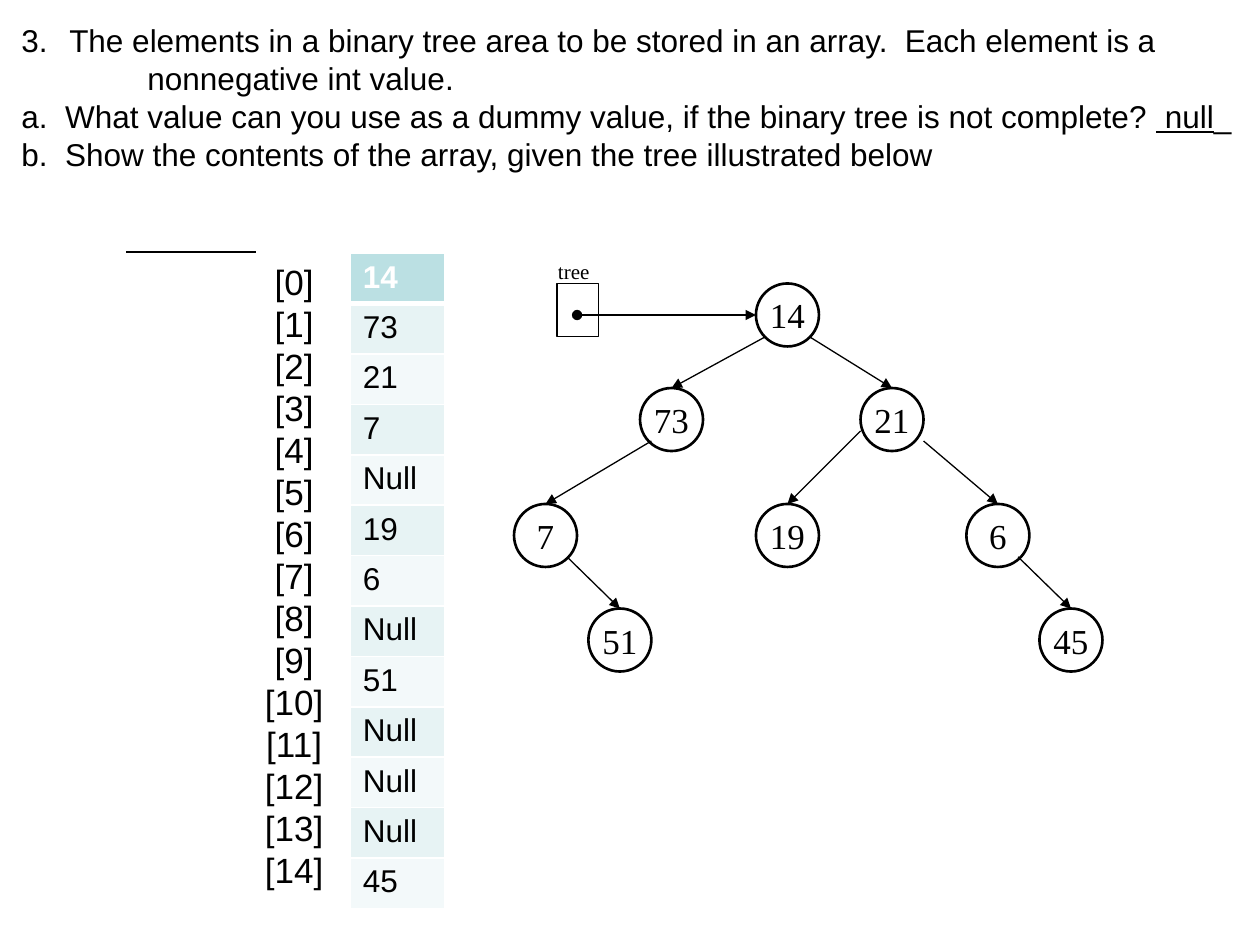
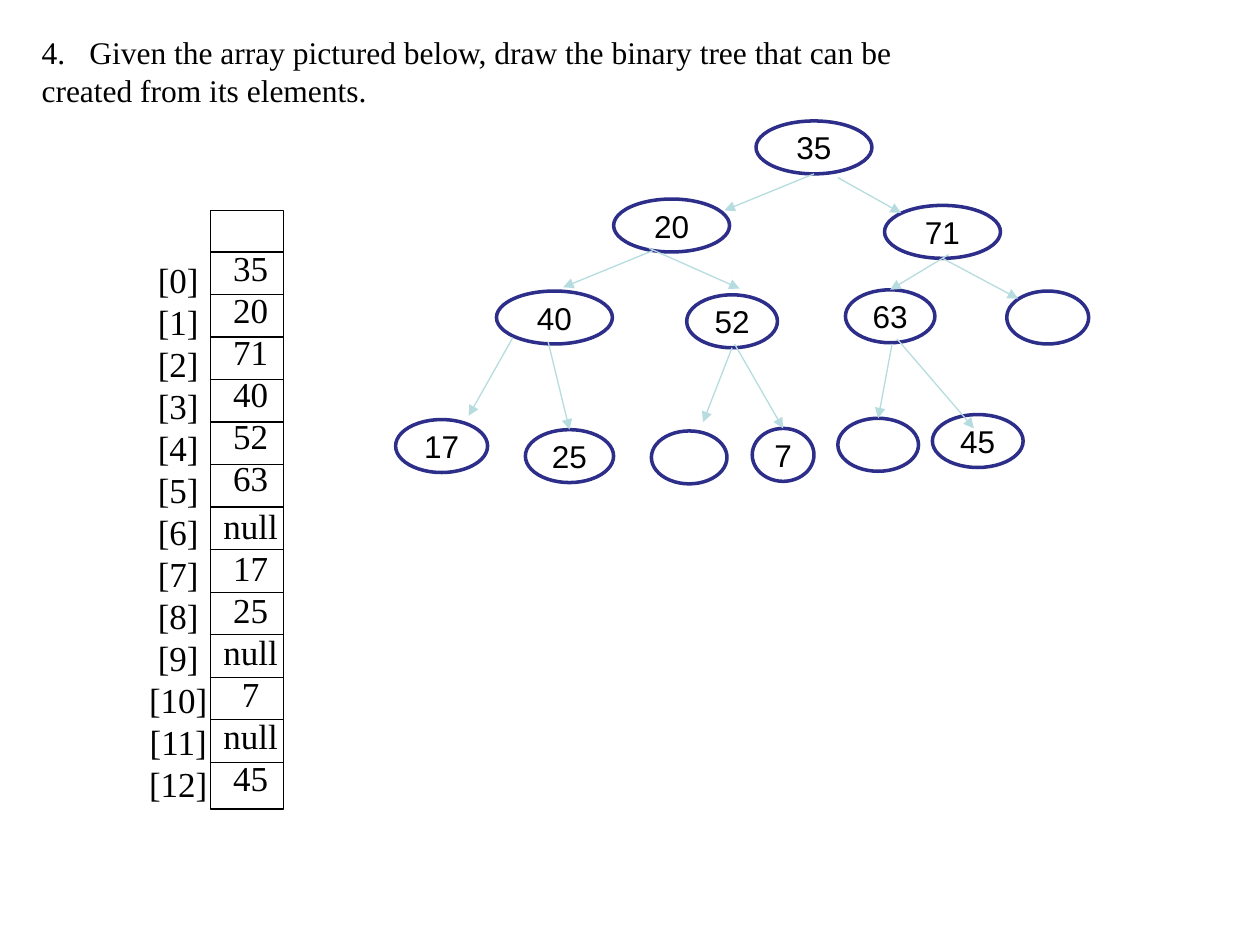
from dataclasses import dataclass
from typing import Any, Optional, Sequence, Union

import pptx
import pptx.dml.color
import pptx.enum.shapes
import pptx.enum.text
import pptx.oxml
import pptx.oxml.ns
import pptx.util
from lxml import etree

Inches = pptx.util.Inches
Pt = pptx.util.Pt
Align = pptx.enum.text.PP_ALIGN
Anchor = pptx.enum.text.MSO_ANCHOR
Preset = pptx.enum.shapes.MSO_SHAPE


@dataclass(frozen=True)
class Theme:
    ink: str = "000000"
    paper: str = "FFFFFF"
    node_outline: str = "2D2D8A"
    pale_arrow: str = "B6DCDF"
    header_fill: str = "BBE0E3"
    odd_fill: str = "E7F3F4"
    even_fill: str = "F3F9FA"
    sans: str = "Arial"
    serif: str = "Times New Roman"
    label_size: float = 12
    text_size: float = 18
    array_size: float = 20
    thin: float = 0.75


THEME = Theme()


@dataclass(frozen=True)
class Span:
    text: str
    underline: bool = False


@dataclass(frozen=True)
class Para:
    spans: Sequence[Span]
    margin: float = 0
    indent: float = 0
    number: Optional[int] = None
    space_before: float = 0


@dataclass(frozen=True)
class Node:
    text: str
    left: float
    top: float
    width: float
    height: float


@dataclass(frozen=True)
class Edge:
    x1: float
    y1: float
    x2: float
    y2: float


@dataclass(frozen=True)
class TreeStyle:
    font: str
    size: float
    outline: str
    outline_width: float
    arrow: str
    fill: Optional[str] = None


BLACK_TREE = TreeStyle(THEME.serif, THEME.array_size, THEME.ink, 1.5, THEME.ink)
BLUE_TREE = TreeStyle(THEME.sans, THEME.text_size, THEME.node_outline, 2,
                      THEME.pale_arrow, THEME.paper)

QUESTION_3 = [
    Para([Span("The elements in a binary tree area to be stored in an array.  Each element is a")],
         0.38, -0.38, number=3),
    Para([Span("nonnegative int value.")], 1.38, -0.38),
    Para([Span("a.  What value can you use as a dummy value, if the binary tree is not complete? "),
          Span(" null", underline=True), Span("_")], 0.38, -0.38),
    Para([Span("b.  Show the contents of the array, given the tree illustrated below")], 0.38, -0.38),
]
QUESTION_4 = [
    Para([Span("Given the array pictured below, draw the binary tree that can be")],
         0.38, -0.38, number=4),
    Para([Span("created from its elements.")]),
]

ARRAY_3 = ["14", "73", "21", "7", "Null", "19", "6", "Null", "51", "Null", "Null", "Null", "45"]
ARRAY_4 = ["35", "20", "71", "40", "52", "63", "null", "17", "25", "null", "7", "null", "45"]

NODES_3 = [Node(text, left, top, 0.5, 0.5) for text, left, top in (
    ("14", 6, 2.25), ("73", 5.08, 3.08), ("21", 6.83, 3.08), ("7", 4.08, 4),
    ("51", 4.67, 4.83), ("19", 6, 4), ("6", 7.67, 4), ("45", 8.25, 4.83))]
EDGES_3 = [
    Edge(6.08, 2.67, 5.33, 3.08), Edge(6.42, 2.67, 7.08, 3.08),
    Edge(5.17, 3.5, 4.33, 4), Edge(6.83, 3.42, 6.25, 4),
    Edge(4.5, 4.42, 4.92, 4.83), Edge(7.33, 3.5, 7.92, 4),
    Edge(8.08, 4.42, 8.5, 4.83),
]
NODES_4 = [Node(text, left, top, width, 0.42) for text, left, top, width in (
    ("35", 6, 0.96, 0.92),
    ("20", 4.87, 1.58, 0.92), ("71", 7.02, 1.63, 0.92),
    ("40", 3.94, 2.31, 0.92), ("52", 5.45, 2.34, 0.72),
    ("63", 6.71, 2.3, 0.71), ("", 7.99, 2.31, 0.65),
    ("17", 3.14, 3.33, 0.73), ("25", 4.17, 3.41, 0.7),
    ("", 5.17, 3.42, 0.6), ("7", 5.97, 3.4, 0.49),
    ("", 6.65, 3.32, 0.64), ("45", 7.4, 3.29, 0.72))]
EDGES_4 = [
    Edge(6.46, 1.38, 5.75, 1.67), Edge(6.65, 1.41, 7.15, 1.69),
    Edge(5.18, 1.99, 4.47, 2.28), Edge(5.15, 1.97, 5.87, 2.29),
    Edge(7.53, 2.02, 7.07, 2.3), Edge(7.48, 2.05, 8.08, 2.37),
    Edge(4.07, 2.68, 3.72, 3.3), Edge(4.35, 2.71, 4.52, 3.41),
    Edge(5.81, 2.76, 5.58, 3.35), Edge(5.83, 2.73, 6.22, 3.4),
    Edge(7.08, 2.73, 6.97, 3.32), Edge(7.12, 2.69, 7.73, 3.4),
]


def rgb(color: str) -> pptx.dml.color.RGBColor:
    return pptx.dml.color.RGBColor.from_string(color)


def add_child(parent: Any, tag: str, **attributes: str) -> Any:
    return etree.SubElement(parent, pptx.oxml.ns.qn(tag), attributes)


def write_text(frame: Any, paras: Sequence[Union[str, Para]], *, font: str, size: float,
               color: str = THEME.ink, bold: bool = False, align: Any = Align.LEFT,
               anchor: Any = Anchor.TOP, wrap: bool = False) -> None:
    frame.auto_size = pptx.enum.text.MSO_AUTO_SIZE.NONE
    frame.word_wrap = wrap
    frame.vertical_anchor = anchor
    write_paras(frame, paras, font, size, color, bold, align)


def write_paras(frame: Any, paras: Sequence[Union[str, Para]], font: str, size: float,
                color: str, bold: bool, align: Any) -> None:
    for index, item in enumerate(paras):
        para = item if isinstance(item, Para) else Para([Span(item)])
        line = frame.paragraphs[0] if index == 0 else frame.add_paragraph()
        line.alignment = align
        if para.space_before:
            line.space_before = Pt(para.space_before)
        properties = line._p.get_or_add_pPr()
        properties.set("marL", str(Inches(para.margin)))
        properties.set("indent", str(Inches(para.indent)))
        if para.number:
            add_child(properties, "a:buFontTx")
            add_child(properties, "a:buAutoNum", type="arabicPeriod", startAt=str(para.number))
        for span in para.spans:
            run = line.add_run()
            run.text = span.text
            run.font.name = font
            run.font.size = Pt(size)
            run.font.bold = bold
            run.font.underline = span.underline
            run.font.color.rgb = rgb(color)


def add_page(deck: Any, question: Sequence[Para], font: str, left: float, top: float,
             width: float, height: float) -> Any:
    """Add a slide whose title holds the question."""
    page = deck.slides.add_slide(deck.slide_layouts[5])
    title = page.shapes.title
    title.left, title.top = Inches(left), Inches(top)
    title.width, title.height = Inches(width), Inches(height)
    write_text(title.text_frame, question, font=font, size=THEME.text_size)
    return page


def add_box(page: Any, paras: Sequence[Union[str, Para]], left: float, top: float,
            width: float, height: float, **text_format: Any) -> None:
    box = page.shapes.add_textbox(Inches(left), Inches(top), Inches(width), Inches(height))
    write_text(box.text_frame, paras, **text_format)


def add_outline(page: Any, preset: Any, left: float, top: float, width: float, height: float,
                color: str = THEME.ink, line_width: float = THEME.thin,
                fill: Optional[str] = None) -> Any:
    shape = page.shapes.add_shape(preset, Inches(left), Inches(top), Inches(width), Inches(height))
    shape.shadow.inherit = False
    if fill:
        shape.fill.solid()
        shape.fill.fore_color.rgb = rgb(fill)
    else:
        shape.fill.background()
    shape.line.color.rgb = rgb(color)
    shape.line.width = Pt(line_width)
    return shape


def add_line(page: Any, edge: Edge, color: str = THEME.ink, head: str = "", tail: str = "") -> Any:
    line = page.shapes.add_connector(
        pptx.enum.shapes.MSO_CONNECTOR.STRAIGHT,
        Inches(edge.x1), Inches(edge.y1), Inches(edge.x2), Inches(edge.y2))
    line.line.color.rgb = rgb(color)
    line.line.width = Pt(THEME.thin)
    for tag, kind in (("a:headEnd", head), ("a:tailEnd", tail)):
        if kind:
            add_child(line.line._get_or_add_ln(), tag, type=kind)
    add_child(line._element.spPr, "a:effectLst")
    return line


def add_tree(page: Any, nodes: Sequence[Node], edges: Sequence[Edge], style: TreeStyle) -> None:
    """Draw the nodes, then the arrows, joining each arrow that ends at a node's top."""
    drawn = []
    for node in nodes:
        shape = add_outline(page, Preset.OVAL, node.left, node.top, node.width, node.height,
                            style.outline, style.outline_width, style.fill)
        if node.text:
            write_text(shape.text_frame, [node.text], font=style.font, size=style.size,
                       align=Align.CENTER, anchor=Anchor.MIDDLE)
        drawn.append((node, shape))
    for edge in edges:
        arrow = add_line(page, edge, style.arrow, tail="triangle")
        for node, shape in drawn:
            offset = abs(node.left + node.width / 2 - edge.x2) + abs(node.top - edge.y2)
            if offset < 0.03:
                arrow.end_connect(shape, 0)


def add_indices(page: Any, count: int, font: str, left: float, top: float, height: float) -> None:
    add_box(page, [f"[{index}]" for index in range(count)], left, top, 0.67, height,
            font=font, size=THEME.array_size, align=Align.CENTER)


def add_array_table(page: Any, values: Sequence[str]) -> None:
    row_height = 0.4
    table = page.shapes.add_table(len(values), 1, Inches(2.78), Inches(2.01), Inches(0.75),
                                  Inches(row_height * len(values))).table
    for index, value in enumerate(values):
        header = index == 0
        cell = table.cell(index, 0)
        write_paras(cell.text_frame, [value], THEME.sans, THEME.text_size,
                    THEME.paper if header else THEME.ink, header, Align.LEFT)
        properties = cell._tc.get_or_add_tcPr()
        for side in ("L", "R", "T", "B"):
            thick = (header and side == "B") or (index == 1 and side == "T")
            border = add_child(properties, f"a:ln{side}", w=str(Pt(3 if thick else 1)))
            add_child(add_child(border, "a:solidFill"), "a:srgbClr", val=THEME.paper)
        cell.fill.solid()
        band = THEME.odd_fill if index % 2 else THEME.even_fill
        cell.fill.fore_color.rgb = rgb(THEME.header_fill if header else band)


def build_tree_to_array(deck: Any) -> None:
    page = add_page(deck, QUESTION_3, THEME.sans, 0.07, 0.12, 9.89, 1.31)
    add_tree(page, NODES_3, EDGES_3, BLACK_TREE)
    add_outline(page, Preset.RECTANGLE, 4.42, 2.25, 0.33, 0.42)
    add_line(page, Edge(4.58, 2.5, 6, 2.5), head="oval", tail="triangle")
    add_box(page, ["tree"], 4.33, 2, 0.45, 0.3, font=THEME.serif, size=THEME.label_size)
    add_indices(page, 15, THEME.sans, 2, 2.02, 5.15)
    add_line(page, Edge(1, 2, 2.03, 2))
    add_array_table(page, ARRAY_3)


def build_array_to_tree(deck: Any) -> None:
    page = add_page(deck, QUESTION_4, THEME.serif, 0.23, 0.21, 7.02, 0.71)
    left, width = 1.67, 0.58
    add_outline(page, Preset.RECTANGLE, left, 1.67, width, 4.75)
    first_rule, last_rule = 2, 6.05
    pitch = (last_rule - first_rule) / (len(ARRAY_4) - 1)
    for index in range(len(ARRAY_4)):
        y = first_rule + index * pitch
        add_line(page, Edge(left, y, left + width, y))
    add_indices(page, len(ARRAY_4), THEME.serif, 1.08, 2, 4.48)
    first_null = ARRAY_4.index("null")
    values = [Para([Span(value)], space_before=3 if index == first_null else 0)
              for index, value in enumerate(ARRAY_4)]
    add_box(page, values, left, 1.91, 0.64, 4.48, font=THEME.serif,
            size=THEME.array_size, align=Align.CENTER)
    add_tree(page, NODES_4, EDGES_4, BLUE_TREE)


def main() -> None:
    deck = pptx.Presentation()
    deck.slide_width, deck.slide_height = Inches(10), Inches(7.5)
    build_tree_to_array(deck)
    build_array_to_tree(deck)
    deck.save("out.pptx")


if __name__ == "__main__":
    main()
